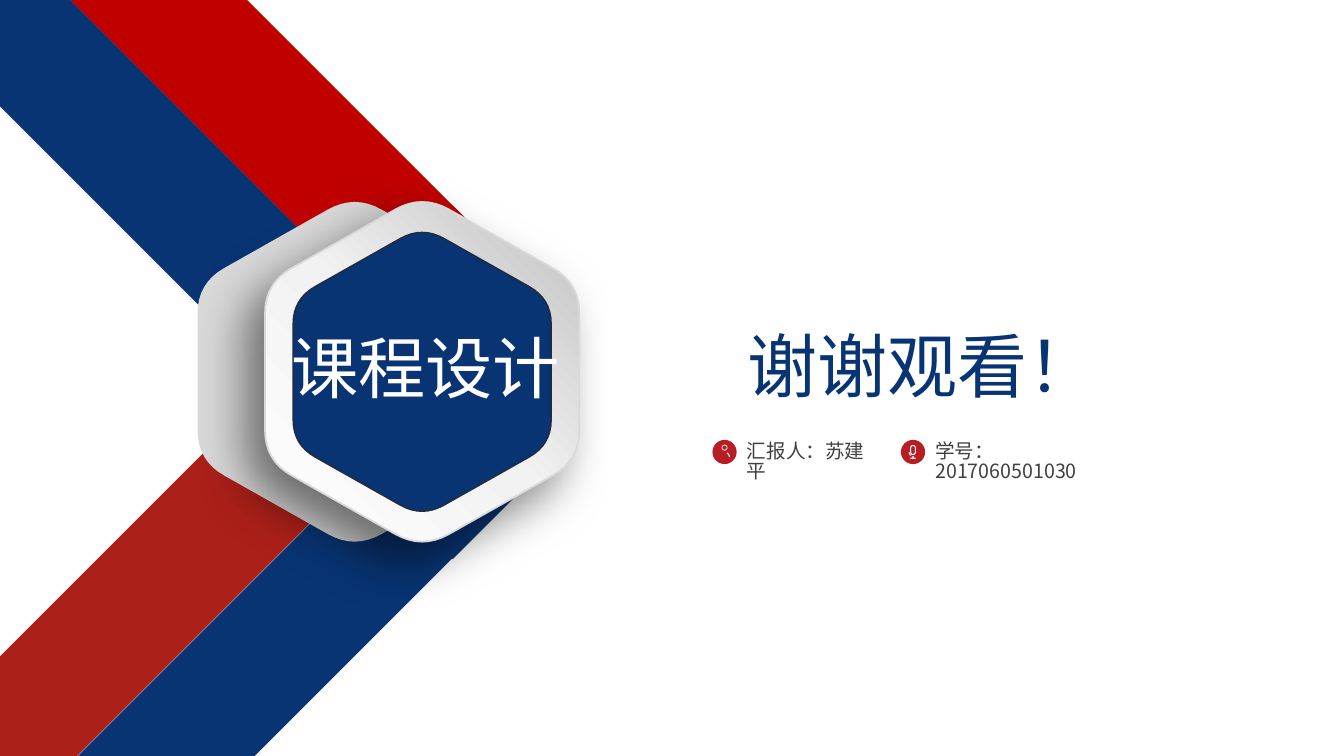
from copy import deepcopy
from lxml.etree import SubElement
from pptx import Presentation
from pptx.dml.color import RGBColor
from pptx.enum.shapes import MSO_SHAPE as KIND
from pptx.enum.text import MSO_ANCHOR, PP_ALIGN
from pptx.oxml.ns import qn
from pptx.util import Cm, Pt

FONT = "Noto Sans CJK SC"
HUES = {
    "navy": "083473", "red": "C00000", "brick": "AB2019", "badge": "B71D22",
    "white": "FFFFFF", "pale": "F2F2F2", "mid": "BFBFBF", "grey": "D9D9D9",
    "edge": "202C44", "text": "404040", "black": "000000",
}
TITLE = "谢谢观看！"
LABEL = "课程设计"
WIDE = 3.15
BANDS = [
    (5.82, 12.95, 18.9, 45, "brick"),
    (8.08, 15.16, 18.8, 45, "navy"),
    (5.72, 6.17, 19.25, -45, "navy"),
    (7.92, 3.92, 19.28, -45, "red"),
]
HEXES = [
    ("back", 8.94, 1, "grey", None),
    ("front", 10.64, 1, "white", "grey"),
    ("core", 10.64, 0.82, "navy", "edge"),
]
MID, HALF, PEAK, CUT, STEPS = 9.37, 3.96, 4.47, 0.17, 8
FADE = [(0, "white"), (0.5, "pale"), (1, "mid")]
ROW = 11.39
PERSON = [
    (KIND.DONUT, -0.11, 0.15, 0.15, 0, [0.13]),
    (KIND.BLOCK_ARC, 0.13, 0.28, 0.28, 0, [180, 0, 0.1]),
]
MIC = [
    (KIND.ROUNDED_RECTANGLE, -0.05, 0.12, 0.23, 0, [0.5]),
    (KIND.BLOCK_ARC, 0, 0.23, 0.23, 180, [180, 0, 0.1]),
    (KIND.RECTANGLE, 0.13, 0.03, 0.05, 0, []),
    (KIND.RECTANGLE, 0.16, 0.13, 0.03, 0, []),
]
NOTES = [
    (23.01, MIC, "学号：2017060501030", 5.1),
    (18.26, PERSON, "汇报人：苏建平", 3.8),
]

deck = Presentation()
deck.slide_width, deck.slide_height = Cm(33.87), Cm(19.05)
slide = deck.slides.add_slide(deck.slide_layouts[5])
shapes = slide.shapes


def hue(name):
    return RGBColor.from_string(HUES[name])


def paint(shape, fill, line=None, width=1.25):
    shape.shadow.inherit = False
    if fill:
        shape.fill.solid()
        shape.fill.fore_color.rgb = hue(fill)
    else:
        shape.fill.background()
    if line:
        shape.line.color.rgb = hue(line)
        shape.line.width = Pt(width)
    else:
        shape.line.fill.background()


def place(kind, x, y, w, h, fill, line=None, width=1.25):
    shape = shapes.add_shape(kind, Cm(x - w / 2), Cm(y - h / 2), Cm(w), Cm(h))
    paint(shape, fill, line, width)
    return shape


def write(box, text, size, tone, space=1):
    frame = box.text_frame
    frame.word_wrap = True
    para = frame.paragraphs[0]
    para.line_spacing = space
    run = para.add_run()
    run.text = text
    run.font.size, run.font.name = Pt(size), FONT
    run.font.color.rgb = hue(tone)
    SubElement(run.font._element, qn("a:ea"), typeface=FONT)
    return para


def label(x, y, w, h, *text):
    write(shapes.add_textbox(Cm(x), Cm(y), Cm(w), Cm(h)), *text)


def blend(a, b, t):
    return tuple(p + (q - p) * t for p, q in zip(a, b))


def hexagon(x, scale):
    w, h = HALF * scale, PEAK * scale
    ends = [(x, MID - h), (x + w, MID - h / 2), (x + w, MID + h / 2),
            (x, MID + h), (x - w, MID + h / 2), (x - w, MID - h / 2)]
    spots = []
    for i, tip in enumerate(ends):
        start = blend(tip, ends[i - 1], CUT)
        stop = blend(tip, ends[(i + 1) % 6], CUT)
        for k in range(STEPS + 1):
            t = k / STEPS
            spots.append(blend(blend(start, tip, t), blend(tip, stop, t), t))
    spots = [(Cm(a), Cm(b)) for a, b in spots]
    pen = shapes.build_freeform(*spots[0], scale=1.0)
    pen.add_line_segments(spots[1:], close=True)
    return pen.convert_to_shape()


def shade(shape):
    shape.fill.gradient()
    shape.fill.gradient_angle = 45
    props = shape._element.spPr
    stops = props.find(".//" + qn("a:gsLst"))
    stops.append(deepcopy(stops[-1]))
    for stop, (spot, name) in zip(shape.fill.gradient_stops, FADE):
        stop.position, stop.color.rgb = spot, hue(name)
    cast = SubElement(props.find(qn("a:effectLst")), qn("a:outerShdw"),
                      blurRad=str(Pt(35)), dist=str(Pt(20)), dir="8100000")
    tint = SubElement(cast, qn("a:srgbClr"), val=HUES["black"])
    SubElement(tint, qn("a:alpha"), val="50000")


for x, y, size, turn, tone in BANDS:
    place(KIND.RECTANGLE, x, y, WIDE, size, tone).rotation = turn
place(KIND.RECTANGLE, 13.13, 9.31, 6.25, 6.17, "white")

for name, x, scale, fill, line in HEXES:
    shape = hexagon(x, scale)
    paint(shape, fill, line)
    if name == "front":
        shade(shape)

title = shapes.title
title.left, title.top, title.width, title.height = Cm(10.49), Cm(7.98), Cm(25.5), Cm(2.39)
title.text_frame.vertical_anchor = MSO_ANCHOR.MIDDLE
write(title, TITLE, 50, "navy").alignment = PP_ALIGN.CENTER

for x, icon, text, w in NOTES:
    place(KIND.OVAL, x, ROW, 0.61, 0.61, "badge")
    for kind, dy, wide, high, turn, tweaks in icon:
        hollow = kind == KIND.ROUNDED_RECTANGLE
        part = place(kind, x, ROW + dy, wide, high, None if hollow else "white",
                     "white" if hollow else None, 0.75)
        part.rotation = turn
        for i, value in enumerate(tweaks):
            part.adjustments[i] = value
    label(x + 0.31, 11.02, w, 1.4, text, 14, "text", 0.86)

label(7.09, 7.7, 8.18, 3.2, LABEL, 48, "white", 1.2)

deck.save("out.pptx")
